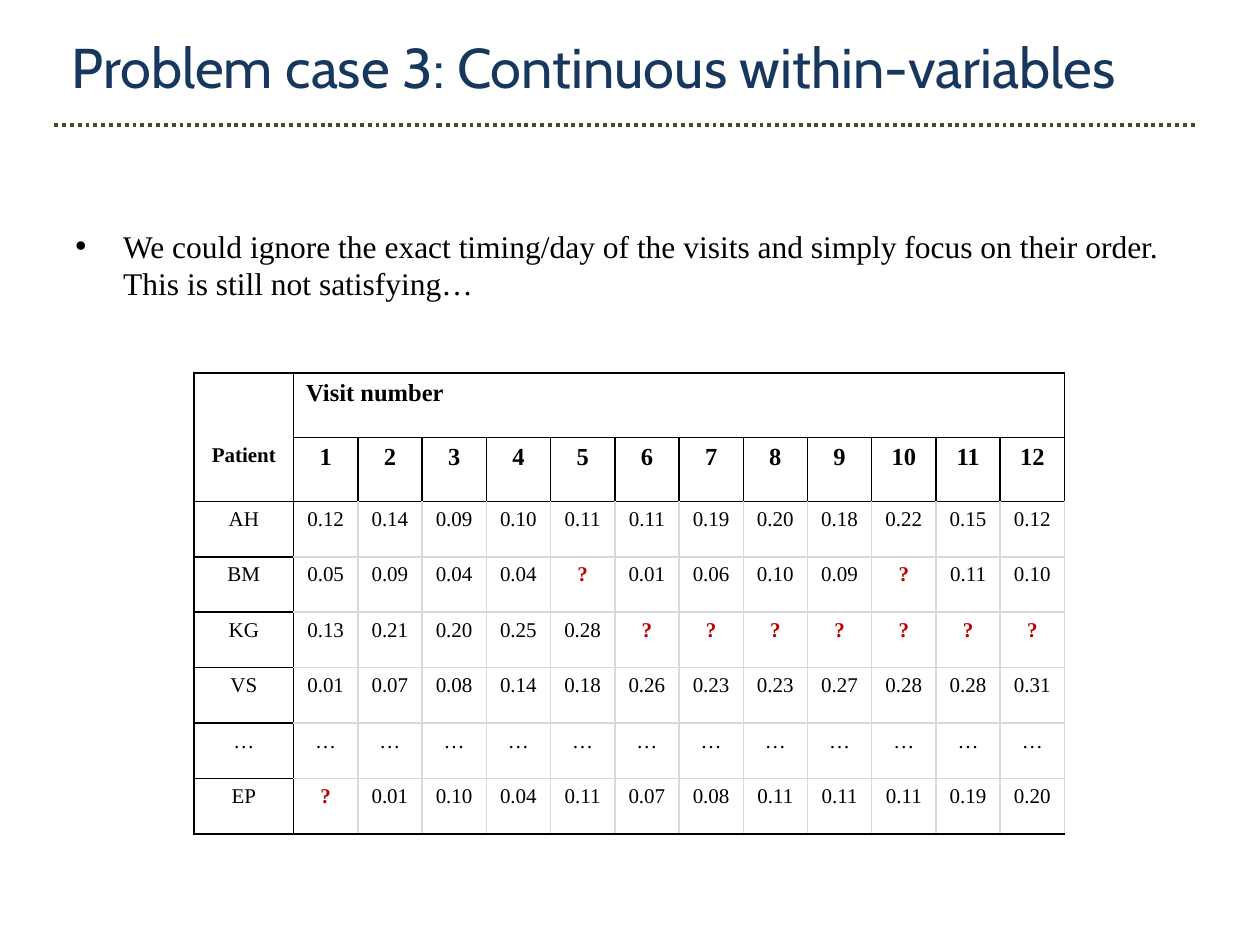
from dataclasses import dataclass

from lxml.etree import SubElement
from pptx import Presentation
from pptx.dml.color import RGBColor
from pptx.enum.dml import MSO_LINE
from pptx.enum.shapes import MSO_CONNECTOR
from pptx.enum.text import PP_ALIGN
from pptx.oxml.ns import qn
from pptx.util import Inches, Pt


@dataclass(frozen=True)
class Theme:
    title_font: str = "Cabin"
    body_font: str = "Times New Roman"
    title_color: str = "17375E"
    text_color: str = "000000"
    missing_color: str = "C00000"
    rule_color: str = "4A452A"
    grid_color: str = "D9D9D9"
    title_size: float = 32
    body_size: float = 18
    header_size: float = 14
    cell_size: float = 12
    rule_width: float = 2.25
    border_width: float = 0.96
    thin_border_width: float = 0.5


VISIT_COUNT = 12
READINGS = {
    "AH": "0.12 0.14 0.09 0.10 0.11 0.11 0.19 0.20 0.18 0.22 0.15 0.12",
    "BM": "0.05 0.09 0.04 0.04 ? 0.01 0.06 0.10 0.09 ? 0.11 0.10",
    "KG": "0.13 0.21 0.20 0.25 0.28 ? ? ? ? ? ? ?",
    "VS": "0.01 0.07 0.08 0.14 0.18 0.26 0.23 0.23 0.27 0.28 0.28 0.31",
    "…": " ".join(["…"] * VISIT_COUNT),
    "EP": "? 0.01 0.10 0.04 0.11 0.07 0.08 0.11 0.11 0.11 0.19 0.20",
}


def write_text(text_frame, text, *, font, size, color, bold=False, align=PP_ALIGN.LEFT):
    paragraph = text_frame.paragraphs[0]
    paragraph.alignment = align
    run = paragraph.add_run()
    run.text = text
    run.font.name = font
    run.font.size = Pt(size)
    run.font.bold = bold
    run.font.color.rgb = RGBColor.from_string(color)
    return paragraph


class SlideBuilder:
    def __init__(self, slide, theme):
        self.slide = slide
        self.theme = theme

    def text_box(self, text, left, top, width, height, **text_format):
        shape = self.slide.shapes.add_textbox(
            Inches(left), Inches(top), Inches(width), Inches(height)
        )
        shape.text_frame.word_wrap = True
        return write_text(shape.text_frame, text, **text_format)

    def title(self, text):
        theme = self.theme
        self.text_box(text, 0.47, 0.21, 8.94, 1.16, font=theme.title_font,
                      size=theme.title_size, color=theme.title_color)

    def bullet(self, text):
        theme = self.theme
        paragraph = self.text_box(text, 0.5, 1.75, 9, 2.63, font=theme.body_font,
                                  size=theme.body_size, color=theme.text_color)
        paragraph.space_before = Pt(3.6)
        properties = paragraph._p.get_or_add_pPr()
        properties.set("marL", str(Inches(0.38)))
        properties.set("indent", str(-Inches(0.38)))
        SubElement(properties, qn("a:buFont"), typeface="Arial")
        SubElement(properties, qn("a:buChar"), char="•")

    def dotted_rule(self, left, right, top):
        connector = self.slide.shapes.add_connector(
            MSO_CONNECTOR.STRAIGHT, Inches(left), Inches(top), Inches(right), Inches(top)
        )
        connector.line.color.rgb = RGBColor.from_string(self.theme.rule_color)
        connector.line.width = Pt(self.theme.rule_width)
        connector.line.dash_style = MSO_LINE.ROUND_DOT
        SubElement(connector._element.spPr, qn("a:effectLst"))

    def border(self, cell, side, color, width):
        line = SubElement(cell._tc.get_or_add_tcPr(), qn(f"a:ln{side}"), w=str(Pt(width)))
        if color is None:
            SubElement(line, qn("a:noFill"))
        else:
            fill = SubElement(line, qn("a:solidFill"))
            SubElement(fill, qn("a:srgbClr"), val=color)

    def frame_cell(self, cell, row, column, last_row):
        theme = self.theme
        in_body = row >= 2 and column >= 1
        black_sides = {"L": column == 1, "R": False, "T": row == 2, "B": row == last_row}
        for side, is_black in black_sides.items():
            color = theme.grid_color if in_body and not is_black else theme.text_color
            width = theme.border_width
            if (row, side) in ((0, "B"), (1, "T")):
                width = theme.thin_border_width
                color = None if column == 0 else color
            self.border(cell, side, color, width)
        cell.fill.background()

    def visit_table(self, left, top, readings):
        theme = self.theme
        column_widths = [0.79] + [0.51] * VISIT_COUNT
        row_heights = [0.51] * 2 + [0.44] * len(readings)
        table = self.slide.shapes.add_table(
            len(row_heights), len(column_widths), Inches(left), Inches(top),
            Inches(sum(column_widths)), Inches(sum(row_heights)),
        ).table
        table.first_row = table.horz_banding = False
        for column, width in zip(table.columns, column_widths):
            column.width = Inches(width)
        for row, height in zip(table.rows, row_heights):
            row.height = Inches(height)

        table.cell(0, 1).merge(table.cell(0, VISIT_COUNT))
        write_text(table.cell(0, 1).text_frame, "Visit number", font=theme.body_font,
                   size=theme.header_size, color=theme.text_color, bold=True)
        rows = [["Patient", *map(str, range(1, VISIT_COUNT + 1))]]
        rows += [[patient, *values.split()] for patient, values in readings.items()]
        for row, values in enumerate(rows, start=1):
            for column, value in enumerate(values):
                missing = value == "?"
                write_text(
                    table.cell(row, column).text_frame, value, font=theme.body_font,
                    size=theme.header_size if row == 1 and column else theme.cell_size,
                    color=theme.missing_color if missing else theme.text_color,
                    bold=missing or row == 1, align=PP_ALIGN.CENTER,
                )
        for row in range(len(row_heights)):
            for column in range(len(column_widths)):
                self.frame_cell(table.cell(row, column), row, column, len(row_heights) - 1)


def main():
    presentation = Presentation()
    presentation.slide_width = Inches(10)
    presentation.slide_height = Inches(7.5)
    slide = presentation.slides.add_slide(presentation.slide_layouts[6])
    builder = SlideBuilder(slide, Theme())
    builder.bullet("We could ignore the exact timing/day of the visits and simply focus "
                   "on their order. This is still not satisfying…")
    builder.title("Problem case 3: Continuous within-variables")
    builder.dotted_rule(0.43, 9.49, 0.99)
    builder.visit_table(1.54, 2.96, READINGS)
    presentation.save("out.pptx")


if __name__ == "__main__":
    main()
